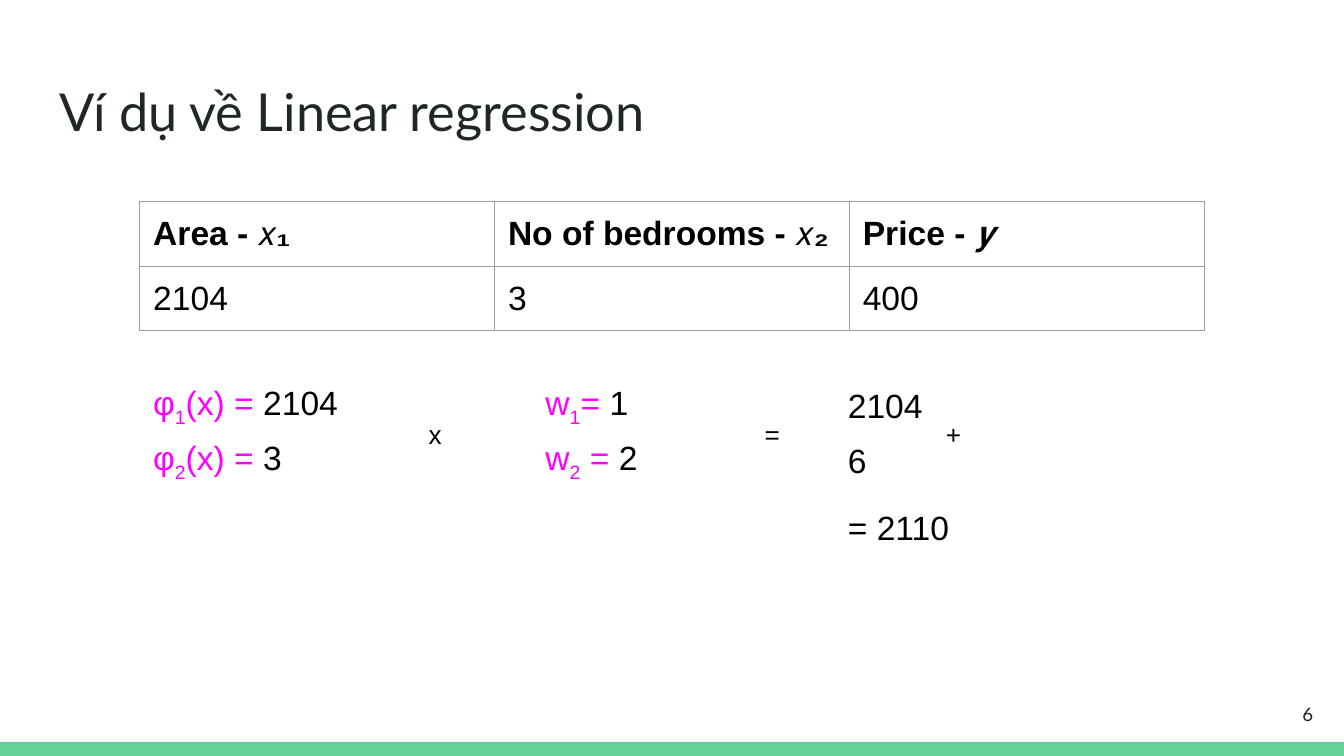
from lxml.etree import SubElement
from pptx import Presentation
from pptx.dml.color import RGBColor
from pptx.enum.shapes import MSO_SHAPE
from pptx.enum.text import MSO_ANCHOR, MSO_AUTO_SIZE, PP_ALIGN
from pptx.oxml.ns import qn
from pptx.util import Inches, Pt

BLACK = RGBColor(0x00, 0x00, 0x00)
INK = RGBColor(0x20, 0x27, 0x29)
MAGENTA = RGBColor(0xFF, 0x00, 0xFF)
GREEN = RGBColor(0x63, 0xD2, 0x97)
GRID = RGBColor(0x9E, 0x9E, 0x9E)

SLIDE_WIDTH = 10
SLIDE_HEIGHT = SLIDE_WIDTH * 9 / 16
TERM_SIZE = (1.92, 0.43)
OPERATOR_SIZE = (0.45, 0.38)
HEADERS = (
    [("Area - 𝑥₁", {})],
    [("No of bedrooms - 𝑥₂", {})],
    [("Price - ", {}), ("𝐲", {"italic": True})],
)
VALUES = ("2104", "3", "400")


def add_span(para, text, size=18, font="Arial", color=BLACK, bold=False,
             italic=False, subscript=False):
    span = para.add_run()
    span.text = text
    span.font.size = Pt(size)
    span.font.name = font
    span.font.color.rgb = color
    span.font.bold = bold
    span.font.italic = italic
    if subscript:
        span._r.get_or_add_rPr().set("baseline", "-25000")


def set_frame(frame, anchor):
    frame.word_wrap = True
    frame.auto_size = MSO_AUTO_SIZE.NONE
    frame.vertical_anchor = anchor
    frame.margin_left = frame.margin_right = Inches(0.1)
    frame.margin_top = frame.margin_bottom = Inches(0.1)


def add_text(page, box, spans, anchor=MSO_ANCHOR.MIDDLE, align=PP_ALIGN.LEFT):
    """Add a one-line text box from (text, format) pairs."""
    frame = page.shapes.add_textbox(*map(Inches, box)).text_frame
    set_frame(frame, anchor)
    para = frame.paragraphs[0]
    para.alignment = align
    for text, style in spans:
        add_span(para, text, **style)


def add_title(page, box, text):
    title = page.shapes.title
    title.left, title.top, title.width, title.height = map(Inches, box)
    set_frame(title.text_frame, MSO_ANCHOR.TOP)
    para = title.text_frame.paragraphs[0]
    para.alignment = PP_ALIGN.LEFT
    add_span(para, text, size=28, font="Lato", color=INK)


def add_footer(page, box, number):
    left, top, width, height = box
    bar = page.shapes.add_shape(MSO_SHAPE.RECTANGLE, *map(Inches, box))
    bar.shadow.inherit = False
    bar.fill.solid()
    bar.fill.fore_color.rgb = GREEN
    bar.line.fill.background()
    add_text(page, (left + width - 0.73, top - 0.42, 0.6, 0.43),
             [(number, {"size": 10, "font": "Lato", "color": INK})],
             align=PP_ALIGN.RIGHT)


def set_borders(cell):
    properties = cell._tc.get_or_add_tcPr()
    for side in ("lnL", "lnR", "lnT", "lnB"):
        line = SubElement(properties, qn(f"a:{side}"), w=str(Pt(0.75)))
        fill = SubElement(line, qn("a:solidFill"))
        SubElement(fill, qn("a:srgbClr"), val=str(GRID))


def add_data_table(page, box):
    rows = [
        [[(text, {"bold": True, **style}) for text, style in header]
         for header in HEADERS],
        [[(value, {})] for value in VALUES],
    ]
    table = page.shapes.add_table(
        len(rows), len(HEADERS), *map(Inches, box)).table
    table.first_row = table.horz_banding = False
    for row_index, row in enumerate(rows):
        for column_index, spans in enumerate(row):
            cell = table.cell(row_index, column_index)
            set_borders(cell)
            cell.fill.background()
            cell.margin_left = cell.margin_right = Inches(0.1)
            cell.margin_top = cell.margin_bottom = Inches(0.1)
            for text, style in spans:
                add_span(cell.text_frame.paragraphs[0], text, **style)


def indexed_term(symbol, index, middle, value):
    return [(symbol, {"color": MAGENTA}),
            (index, {"color": MAGENTA, "subscript": True}),
            (middle, {"color": MAGENTA}),
            (value, {})]


def add_calculation(page, left, top):
    """Lay out features times weights, their products and the sum."""
    columns = (
        (0, [indexed_term("φ", "1", "(x) = ", "2104"),
             indexed_term("φ", "2", "(x) = ", "3")]),
        (2.92, [indexed_term("w", "1", "= ", "1"),
                indexed_term("w", "2", " = ", "2")]),
        (5.17, [[("2104", {})], [("6", {})]]),
    )
    for x, terms in columns:
        for row, spans in enumerate(terms):
            add_text(page, (left + x, top + row * 0.41, *TERM_SIZE), spans)
    for x, operator in ((2.05, "x"), (4.55, "="), (5.9, "+")):
        add_text(page, (left + x, top + 0.21, *OPERATOR_SIZE),
                 [(operator, {"size": 14})], anchor=MSO_ANCHOR.TOP)
    add_text(page, (left + 5.17, top + 0.91, *TERM_SIZE), [("= 2110", {})])


def main():
    deck = Presentation()
    deck.slide_width = Inches(SLIDE_WIDTH)
    deck.slide_height = Inches(SLIDE_HEIGHT)
    page = deck.slides.add_slide(deck.slide_layouts.get_by_name("Title Only"))
    add_footer(page, (0, 5.52, SLIDE_WIDTH, 0.11), "6")
    add_title(page, (0.34, 0.49, 9.32, 0.63), "Ví dụ về Linear regression")
    add_data_table(page, (1.04, 1.5, 7.92, 0.96))
    add_calculation(page, 1.04, 2.8)
    deck.save("out.pptx")


if __name__ == "__main__":
    main()
